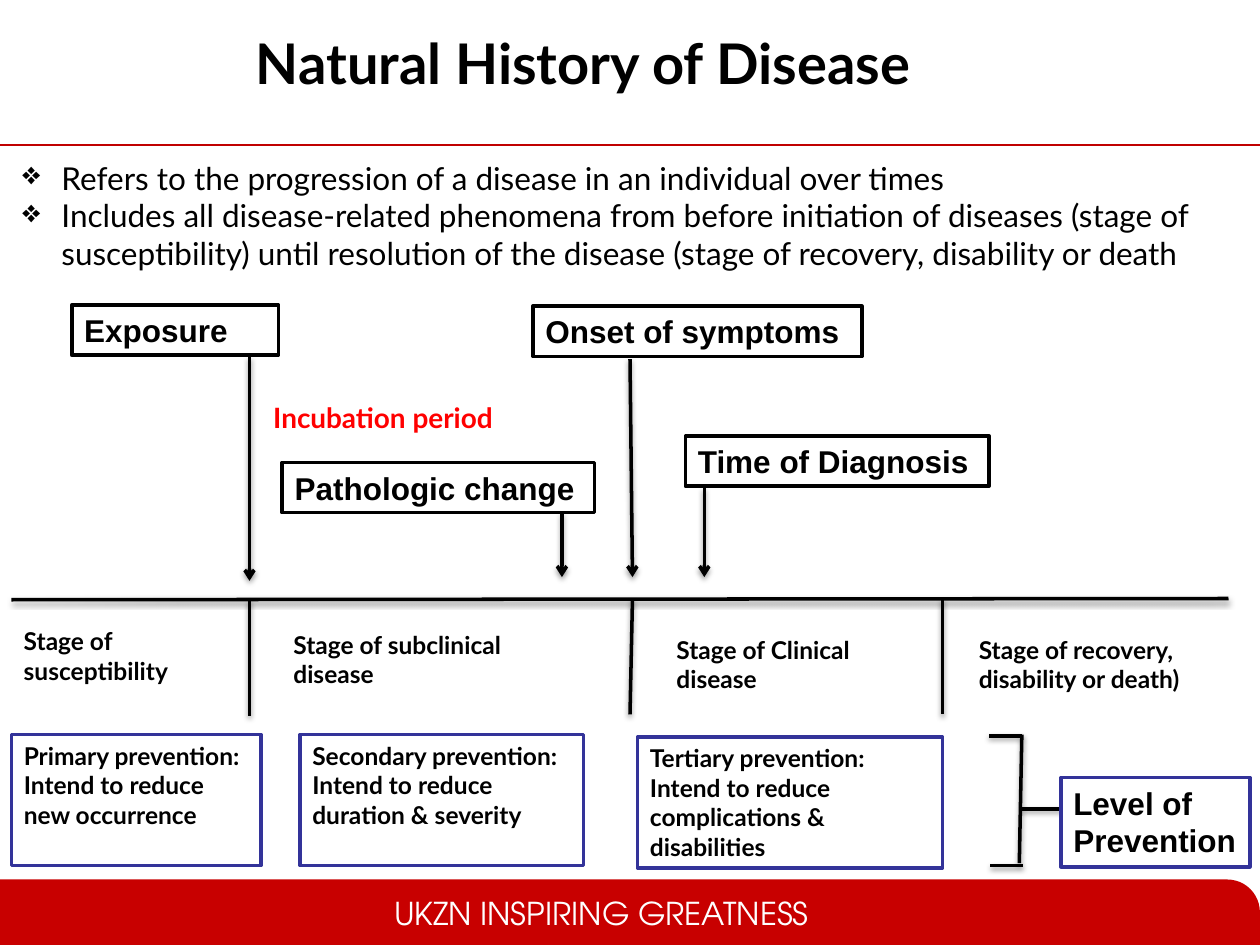
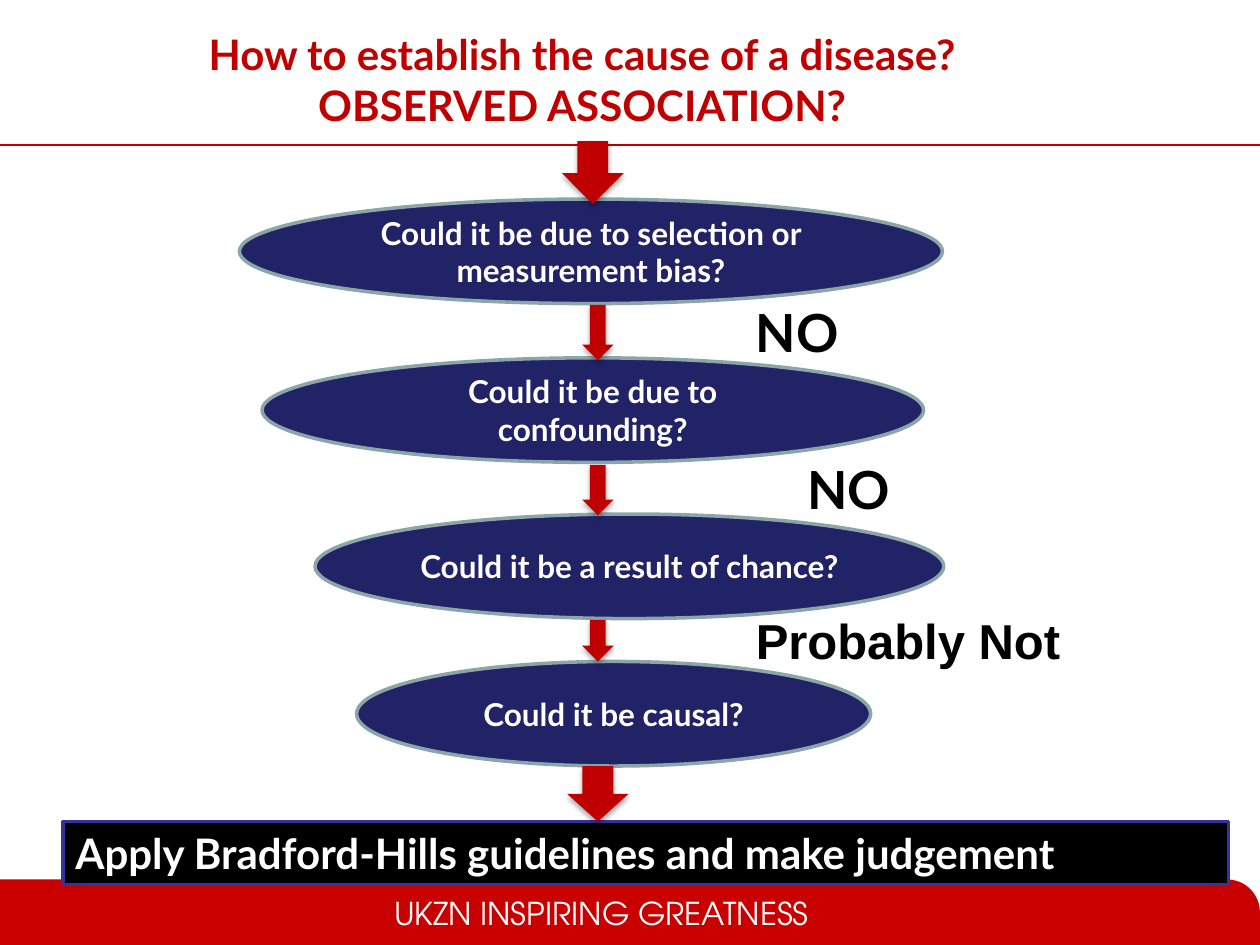
"""Build two slides on the natural history of disease and on judging its cause."""
from dataclasses import dataclass, field
from lxml import etree
from pptx import Presentation
from pptx.dml.color import RGBColor
from pptx.enum.shapes import MSO_CONNECTOR, MSO_SHAPE
from pptx.enum.text import MSO_ANCHOR, PP_ALIGN
from pptx.oxml import parse_xml
from pptx.oxml.ns import nsdecls, qn
from pptx.util import Inches, Pt


@dataclass(frozen=True)
class Theme:
    black: str = "000000"
    white: str = "FFFFFF"
    red: str = "C00000"
    band: str = "C80000"
    bright: str = "FF0000"
    navy: str = "222267"
    blue: str = "333399"
    rim: str = "8AA6A8"
    line_shadow: tuple = (38, 3.1, 1.6, 90)
    arrow_shadow: tuple = (35, 3.1, 1.8, 90)
    rule_shadow: tuple = (40, 4, 3, 45)
    styles: dict = field(default_factory=lambda: {
        "title": ("Lato", 32, True),
        "question": ("Lato", 24, True),
        "body": ("Lato", 18, False),
        "step": ("Lato", 18, True),
        "event": ("Arial", 18, True),
        "period": ("Lato", 16, True),
        "stage": ("Lato", 14, True),
        "answer": ("Lato", 30, True),
        "doubt": ("Arial", 28, True),
        "footer": ("TeX Gyre Adventor", 18, False),
    })


T = Theme()
EFFECT = (
    f'<a:effectLst {nsdecls("a")}><a:outerShdw blurRad="{{}}" dist="{{}}" dir="{{}}" '
    'algn="ctr" rotWithShape="0"><a:srgbClr val="000000"><a:alpha val="{}"/>'
    "</a:srgbClr></a:outerShdw></a:effectLst>"
)

prs = Presentation()
prs.slide_width, prs.slide_height = Inches(10), Inches(7.5)
COL, ROW = prs.slide_width / 100, prs.slide_height / 75


def box(s, at, text="", style="stage", color=T.black, kind=None, fill=None,
        edge=None, center=False, bullet=None, shadow=None):
    x, y, w, h = (int(n * u) for n, u in zip(at, (COL, ROW, COL, ROW)))
    if kind is None:
        sp = s.shapes.add_textbox(x, y, w, h)
    else:
        sp = s.shapes.add_shape(kind, x, y, w, h)
        sp.fill.solid()
        sp.fill.fore_color.rgb = RGBColor.from_string(fill)
        if edge:
            sp.line.color.rgb = RGBColor.from_string(edge)
            sp.line.width = Pt(2)
        else:
            sp.line.fill.background()
        if shadow:
            alpha, blur, dist, angle = shadow
            sp._element.spPr.append(parse_xml(EFFECT.format(
                Pt(blur), Pt(dist), angle * 60000, alpha * 1000)))
        else:
            sp.shadow.inherit = False
    tf = sp.text_frame
    tf.word_wrap = True
    oval = kind == MSO_SHAPE.OVAL
    tf.vertical_anchor = MSO_ANCHOR.MIDDLE if oval else MSO_ANCHOR.TOP
    name, size, bold = T.styles[style]
    for i, words in enumerate(text.split("\n") if text else []):
        p = tf.add_paragraph() if i else tf.paragraphs[0]
        p.alignment = PP_ALIGN.CENTER if center else PP_ALIGN.LEFT
        if bullet:
            pPr = p._p.get_or_add_pPr()
            pPr.set("marL", str(Inches(0.31)))
            pPr.set("indent", str(-Inches(0.31)))
            etree.SubElement(pPr, qn("a:buChar")).set("char", bullet)
        r = p.add_run()
        r.text = words
        for key, value in {"name": name, "size": Pt(size), "bold": bold}.items():
            setattr(r.font, key, value)
        r.font.color.rgb = RGBColor.from_string(color)
    return sp


def line(s, x1, y1, x2, y2, color=T.black, width=2, arrow=False, shadow=T.line_shadow):
    ends = (int(n * u) for n, u in zip((x1, y1, x2, y2), (COL, ROW, COL, ROW)))
    c = s.shapes.add_connector(MSO_CONNECTOR.STRAIGHT, *ends)
    c.line.color.rgb = RGBColor.from_string(color)
    c.line.width = Pt(width)
    if arrow:
        etree.SubElement(c.line._get_or_add_ln(), qn("a:tailEnd")).set("type", "arrow")
    alpha, blur, dist, angle = shadow
    c._element.spPr.append(parse_xml(EFFECT.format(
        Pt(blur), Pt(dist), angle * 60000, alpha * 1000)))


slides = []
for at, text, style, color in [
    ((9.2, 1.8, 74.2, 6.4), "Natural History of Disease", "title", T.black),
    ((3.3, 1.8, 85.8, 9.1),
     "How to establish the cause of a disease?\nOBSERVED ASSOCIATION?", "question", T.red),
]:
    s = prs.slides.add_slide(prs.slide_layouts[6])
    line(s, 0, 11.5, 100, 11.5, T.red, 0.75, shadow=T.rule_shadow)
    band = box(s, (0, 69.8, 100, 5.2), kind=MSO_SHAPE.ROUND_1_RECTANGLE, fill=T.band)
    band.adjustments[0] = 0.5
    box(s, (30.3, 70.5, 35.4, 4), "UKZN INSPIRING GREATNESS", "footer", T.white)
    box(s, at, text, style, color, center=True)
    slides.append(s)
history, cause = slides

box(history, (0.8, 12.1, 96.7, 10.1),
    "Refers to the progression of a disease in an individual over times\n"
    "Includes all disease-related phenomena from before initiation of diseases "
    "(stage of susceptibility) until resolution of the disease "
    "(stage of recovery, disability or death", "body", bullet="❖")

timeline = [(0.9, 47.6, 97.5, 47.5)]
dividers = [(19.8, 47.6, 19.8, 56.8), (50.2, 47.5, 50, 56.7), (74.8, 47.5, 74.8, 56.7)]
bracket = [(78.5, 58.4, 81.1, 58.4), (81.1, 58.3, 80.9, 68.5),
           (78.6, 68.7, 81.2, 68.7), (81.1, 64.2, 84.2, 64.2)]
for ends in timeline + dividers + bracket:
    line(history, *ends)

for x, y, w, text in [
    (0.9, 49.2, 16.7, "Stage of susceptibility"),
    (22.3, 49.5, 22.1, "Stage of subclinical disease"),
    (52.7, 49.9, 18.3, "Stage of Clinical disease"),
    (76.7, 49.9, 20.8, "Stage of recovery, disability or death)"),
]:
    box(history, (x, y, w, 5.7), text)

for x, y, w, h, text, style, color, edge in [
    (0.9, 58.3, 19.8, 10.4, "Primary prevention: Intend to reduce new occurrence",
     "stage", T.black, T.blue),
    (23.8, 58.3, 22.5, 10.4, "Secondary prevention: Intend to reduce duration & severity",
     "stage", T.black, T.blue),
    (50.6, 58.5, 24.2, 10.4,
     "Tertiary prevention: Intend to reduce complications & disabilities",
     "stage", T.black, T.blue),
    (84.2, 61.7, 15, 7.1, "Level of Prevention", "event", T.black, T.blue),
    (5.7, 24.2, 16.4, 4, "Exposure", "event", T.black, T.black),
    (20.7, 31.3, 22.5, 3.7, "Incubation period", "period", T.bright, T.white),
    (42.3, 24.3, 26.1, 4, "Onset of symptoms", "event", T.black, T.black),
    (54.4, 34.6, 24.1, 4, "Time of Diagnosis", "event", T.black, T.black),
    (22.4, 36.7, 24.8, 4, "Pathologic change", "event", T.black, T.black),
]:
    box(history, (x, y, w, h), text, style, color, MSO_SHAPE.RECTANGLE, T.white, edge)

for ends in [(19.8, 28.3, 19.8, 46.1), (50, 28.5, 50.2, 45.8),
             (44.6, 40.7, 44.6, 45.8), (55.9, 38.7, 55.9, 45.8)]:
    line(history, *ends, arrow=True)

for x, y, w, text in [
    (19, 15.8, 55.8, "Could it be due to selection or measurement bias?"),
    (20.8, 28.4, 52.5, "Could it be due to confounding?"),
    (25, 40.8, 49.9, "Could it be a result of chance?"),
    (28.3, 52.5, 40.8, "Could it be causal?"),
]:
    box(cause, (x, y, w, 8.3), text, "step", T.white, MSO_SHAPE.OVAL,
        T.navy, T.rim, center=True)

box(cause, (5, 65.2, 92.5, 5), "Apply Bradford-Hills guidelines and make judgement",
    "question", T.white, MSO_SHAPE.RECTANGLE, T.black, T.blue)

for at in [(44.6, 11.2, 4.9, 5), (46.2, 24.2, 2.5, 4.4), (46.2, 36.9, 2.5, 4),
           (46.2, 49.2, 2.5, 3.3), (45, 60.8, 4.9, 4.4)]:
    box(cause, at, kind=MSO_SHAPE.DOWN_ARROW, fill=T.red, shadow=T.arrow_shadow)

for at, text, style in [
    ((59, 23.3, 10.2, 6.1), "NO", "answer"),
    ((63.1, 35.8, 10.2, 6.1), "NO", "answer"),
    ((59, 48, 32.7, 5.7), "Probably Not", "doubt"),
]:
    box(cause, at, text, style)

prs.save("out.pptx")
